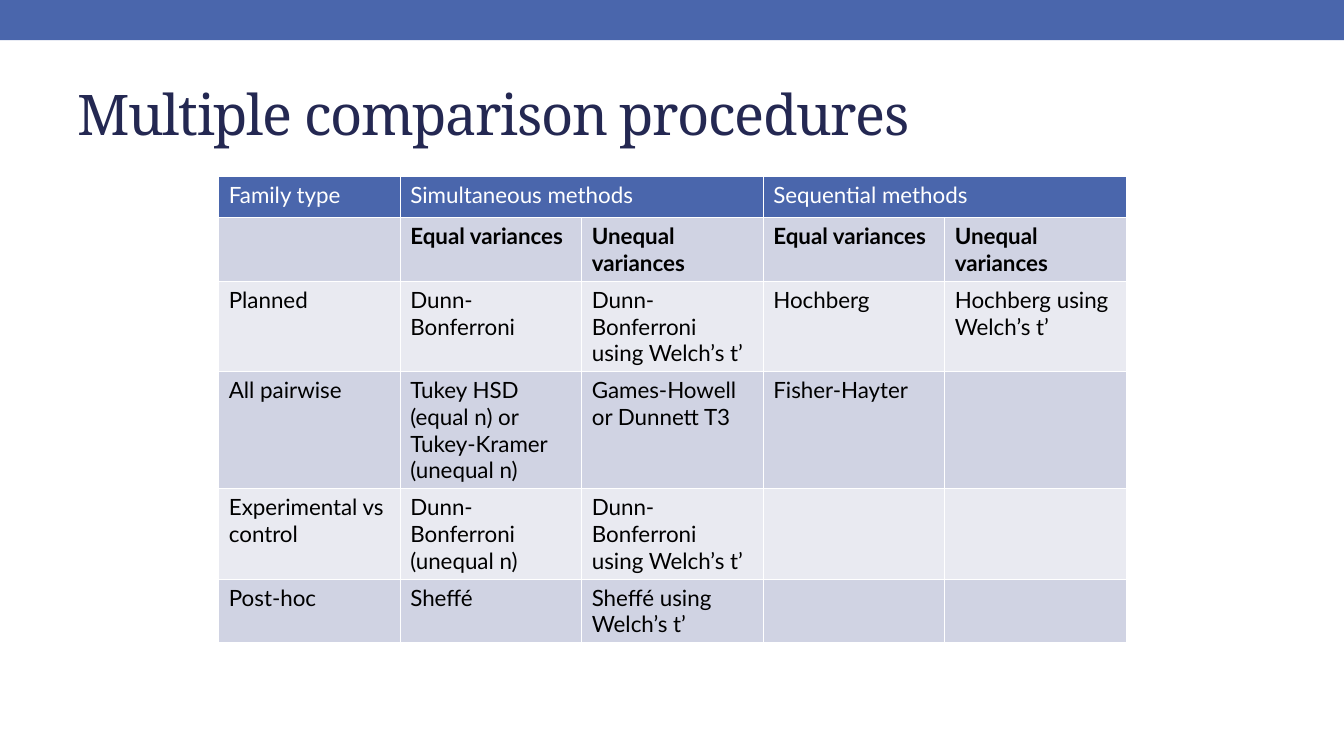
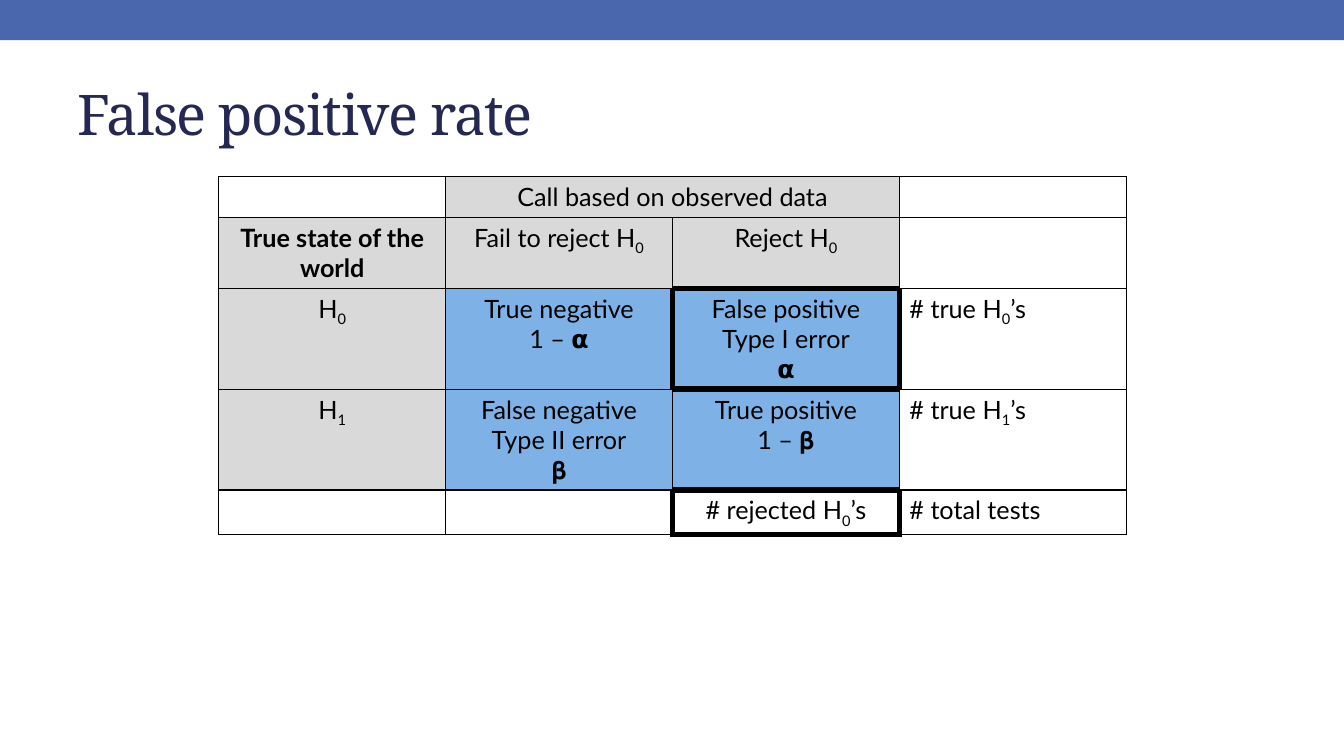
"""Build two statistics slides with comparison tables under a shared title style."""
from dataclasses import dataclass

import lxml.etree
import pptx
import pptx.dml.color
import pptx.enum.shapes
import pptx.enum.text
import pptx.oxml.ns
import pptx.util

Inches = pptx.util.Inches
Point = pptx.util.Pt
Color = pptx.dml.color.RGBColor.from_string
Align = pptx.enum.text.PP_ALIGN
qualified = pptx.oxml.ns.qn


@dataclass(frozen=True)
class Theme:
    band: str = "4A66AC"
    title: str = "242852"
    white: str = "FFFFFF"
    black: str = "000000"
    stripe_dark: str = "D0D3E3"
    stripe_light: str = "E9EAF1"
    label: str = "D9D9D9"
    outcome: str = "7EB2E6"
    title_font: str = "Noto Serif"
    body_font: str = "Lato"
    title_size: int = 40
    title_spacing: int = -100
    subscript: int = -25000
    thin_line: float = 1
    heavy_line: float = 4.5


@dataclass(frozen=True)
class Grid:
    rows: list[list[str]]
    fills: list[list[str]]
    merges: list[tuple[int, int]]
    bold: set[tuple[int, int]]
    size: int
    line: str
    centered_columns: range = range(0)
    heavy: frozenset[tuple[int, int]] = frozenset()


@dataclass(frozen=True)
class Page:
    title: str
    grid: Grid


THEME = Theme()
WIDTH, HEIGHT = 13.33, 7.5
TABLE_LEFT, TABLE_TOP, TABLE_WIDTH, ROW_HEIGHT = 2.17, 1.75, 9, 0.41
NEIGHBORS = {"L": (0, -1), "R": (0, 1), "T": (-1, 0), "B": (1, 0)}

PROCEDURES = Grid(
    rows=[
        ["Family type", "Simultaneous methods", "", "Sequential methods", ""],
        ["", "Equal variances", "Unequal variances", "Equal variances", "Unequal variances"],
        ["Planned", "Dunn-Bonferroni", "Dunn-Bonferroni using Welch’s t’", "Hochberg",
         "Hochberg using Welch’s t’"],
        ["All pairwise", "Tukey HSD (equal n) or Tukey-Kramer (unequal n)",
         "Games-Howell or Dunnett T3", "Fisher-Hayter", ""],
        ["Experimental vs control", "Dunn-Bonferroni (unequal n)",
         "Dunn-Bonferroni using Welch’s t’", "", ""],
        ["Post-hoc", "Sheffé", "Sheffé using Welch’s t’", "", ""],
    ],
    fills=[[THEME.band] * 5]
    + [[THEME.stripe_dark if row % 2 else THEME.stripe_light] * 5 for row in range(1, 6)],
    merges=[(0, 1), (0, 3)],
    bold={(1, column) for column in range(1, 5)},
    size=16,
    line=THEME.white,
)

ERROR_RATES = Grid(
    rows=[
        ["", "Call based on observed data", "", ""],
        ["True state of the world", "Fail to reject H|0", "Reject H|0", ""],
        ["H|0", "True negative\n1 – 𝝰", "False positive\nType I error\n𝝰", "# true H|0|’s"],
        ["H|1", "False negative\nType II error\n𝛃", "True positive\n1 – 𝛃", "# true H|1|’s"],
        ["", "", "# rejected H|0|’s", "# total tests"],
    ],
    fills=[
        [THEME.white, THEME.label, THEME.label, THEME.white],
        [THEME.label, THEME.label, THEME.label, THEME.white],
        *[[THEME.label, THEME.outcome, THEME.outcome, THEME.white]] * 2,
        [THEME.white] * 4,
    ],
    merges=[(0, 1)],
    bold={(1, 0)},
    size=18,
    line=THEME.black,
    centered_columns=range(3),
    heavy=frozenset({(2, 2), (4, 2)}),
)

PAGES = [
    Page("Multiple comparison procedures", PROCEDURES),
    Page("False positive rate", ERROR_RATES),
]


def style_span(span, font: str, size: int, color: str, bold: bool = False) -> None:
    """Give one run its font, size, colour and weight."""
    span.font.name = font
    span.font.size = Point(size)
    span.font.color.rgb = Color(color)
    span.font.bold = bold


def add_band(page) -> None:
    """Draw the band along the top edge."""
    band = page.shapes.add_shape(
        pptx.enum.shapes.MSO_SHAPE.RECTANGLE, 0, 0, Inches(WIDTH), Inches(0.4))
    band.shadow.inherit = False
    band.fill.solid()
    band.fill.fore_color.rgb = Color(THEME.band)
    band.line.fill.background()


def set_title(page, text: str) -> None:
    """Place and format the title placeholder."""
    box = page.shapes.title
    box.left, box.top, box.width, box.height = map(Inches, (0.67, 0.58, 12, 1.08))
    frame = box.text_frame
    frame.text = text
    frame.auto_size = pptx.enum.text.MSO_AUTO_SIZE.NONE
    frame.vertical_anchor = pptx.enum.text.MSO_ANCHOR.MIDDLE
    para = frame.paragraphs[0]
    para.alignment = Align.LEFT
    for span in para.runs:
        style_span(span, THEME.title_font, THEME.title_size, THEME.title)
        span.font._element.set("spc", str(THEME.title_spacing))


def set_borders(cell, grid: Grid, row: int, column: int) -> None:
    """Outline a cell, with heavy edges where it or its neighbor is emphasized."""
    properties = cell._tc.get_or_add_tcPr()
    for side, (down, across) in NEIGHBORS.items():
        heavy = grid.heavy & {(row, column), (row + down, column + across)}
        width = Point(THEME.heavy_line if heavy else THEME.thin_line)
        line = lxml.etree.SubElement(properties, qualified(f"a:ln{side}"), w=str(int(width)))
        fill = lxml.etree.SubElement(line, qualified("a:solidFill"))
        lxml.etree.SubElement(fill, qualified("a:srgbClr"), val=grid.line)


def set_cell_text(cell, grid: Grid, row: int, column: int) -> None:
    """Write a cell, lowering every second piece between bars to a subscript."""
    color = THEME.white if grid.fills[row][column] == THEME.band else THEME.black
    cell.text_frame.text = grid.rows[row][column]
    for para in cell.text_frame.paragraphs:
        para.alignment = Align.CENTER if column in grid.centered_columns else Align.LEFT
        para.text, *pieces = para.text.split("|")
        for piece in pieces:
            para.add_run().text = piece
        for index, span in enumerate(para.runs):
            style_span(span, THEME.body_font, grid.size, color, (row, column) in grid.bold)
            if index % 2:
                span.font._element.set("baseline", str(THEME.subscript))


def add_grid(page, grid: Grid) -> None:
    """Draw a table with equal columns and two-column merged headings."""
    row_count, column_count = len(grid.rows), len(grid.rows[0])
    table = page.shapes.add_table(
        row_count, column_count, Inches(TABLE_LEFT), Inches(TABLE_TOP),
        Inches(TABLE_WIDTH), Inches(ROW_HEIGHT * row_count)).table
    table.first_row = table.horz_banding = False
    for row in range(row_count):
        for column in range(column_count):
            cell = table.cell(row, column)
            set_borders(cell, grid, row, column)
            cell.fill.solid()
            cell.fill.fore_color.rgb = Color(grid.fills[row][column])
            set_cell_text(cell, grid, row, column)
    for row, column in grid.merges:
        table.cell(row, column).merge(table.cell(row, column + 1))


def main() -> None:
    """Build and save the deck."""
    deck = pptx.Presentation()
    deck.slide_width, deck.slide_height = Inches(WIDTH), Inches(HEIGHT)
    for content in PAGES:
        page = deck.slides.add_slide(deck.slide_layouts.get_by_name("Title Only"))
        add_band(page)
        set_title(page, content.title)
        add_grid(page, content.grid)
    deck.save("out.pptx")


if __name__ == "__main__":
    main()
